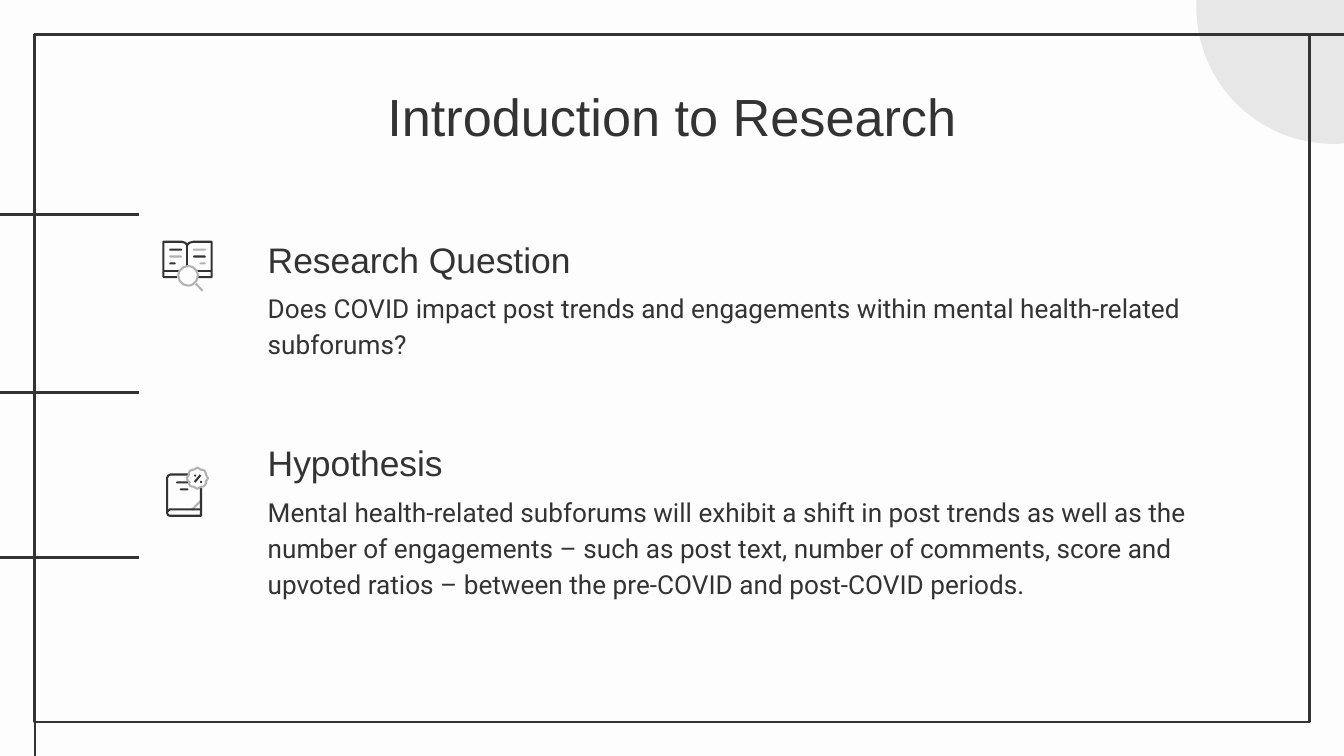
from math import cos, pi, sin

from lxml.etree import SubElement
from pptx import Presentation
from pptx.dml.color import RGBColor
from pptx.enum.shapes import MSO_CONNECTOR as Connector, MSO_SHAPE as Shape
from pptx.enum.text import MSO_ANCHOR as Anchor, PP_ALIGN as Align
from pptx.oxml.ns import qn
from pptx.util import Cm, Pt

INK, GREY, PALE, PAPER = "333333", "B2B2B2", "E8E7E7", "FDFDFD"
WIDTH, HEIGHT = 25.4, 14.29
FRAME_LINE, ICON_LINE = 1.5, 1.1
INSET = 0.25


def color(value):
    return RGBColor.from_string(value)


def apply(target, formats):
    for name, value in formats.items():
        setattr(target, name, value)


def paint(shape, fill=None, line=None, weight=ICON_LINE):
    shape.shadow.inherit = False
    if fill:
        shape.fill.solid()
        shape.fill.fore_color.rgb = color(fill)
    else:
        shape.fill.background()
    if line:
        shape.line.color.rgb = color(line)
        shape.line.width = Pt(weight)
    else:
        shape.line.fill.background()


def add_preset(shapes, kind, left, top, width, height, **look):
    shape = shapes.add_shape(kind, Cm(left), Cm(top), Cm(width), Cm(height))
    paint(shape, **look)
    return shape


def add_line(shapes, start, end, line=INK, weight=ICON_LINE):
    rule = shapes.add_connector(Connector.STRAIGHT, *map(Cm, start + end))
    rule.line.color.rgb = color(line)
    rule.line.width = Pt(weight)
    SubElement(rule._element.spPr, qn("a:effectLst"))


def add_outline(shapes, strokes, line=INK, closed=False):
    """Draw strokes whose points are in hundredths of a centimetre."""
    first, *others = strokes
    builder = shapes.build_freeform(*first[0], scale=Cm(0.01))
    builder.add_line_segments(first[1:], close=closed)
    for stroke in others:
        builder.move_to(*stroke[0])
        builder.add_line_segments(stroke[1:], close=closed)
    paint(builder.convert_to_shape(), line=line)


def add_dash(shapes, left, top, width, fill):
    dash = add_preset(shapes, Shape.ROUNDED_RECTANGLE, left, top, width, 0.04, fill=fill)
    dash.adjustments[0] = 0.5


def add_text(page, text, place, size, font, frame=None, para_formats=None):
    box = page.shapes.add_textbox(*map(Cm, place))
    apply(box.text_frame, {
        "word_wrap": True, "vertical_anchor": Anchor.TOP,
        "margin_left": Cm(INSET), "margin_right": Cm(INSET),
        "margin_top": Cm(INSET), "margin_bottom": Cm(INSET), **(frame or {})})
    para = box.text_frame.paragraphs[0]
    apply(para, para_formats or {"line_spacing": 1.15})
    span = para.add_run()
    span.text = text
    apply(span.font, {"size": Pt(size), "name": font})
    span.font.color.rgb = color(INK)


def add_frame(page):
    shapes = page.shapes
    add_preset(shapes, Shape.OVAL, 22.61, -2.46, 5.18, 5.18, fill=PALE)
    for y in (4.06, 7.42, 10.54):
        add_line(shapes, (0, y), (2.62, y), weight=FRAME_LINE)
    add_preset(shapes, Shape.RECTANGLE, 0.65, 0.65, 24.1, 13,
               line=INK, weight=FRAME_LINE)
    # Extensions from the frame corners to the slide edges
    add_line(shapes, (WIDTH, 0.65), (24.75, 0.65), weight=FRAME_LINE)
    add_line(shapes, (0.66, 13.65), (0.66, HEIGHT), weight=FRAME_LINE)


def add_search_icon(page):
    icon = page.shapes.add_group_shape().shapes
    # Open book: cover, page edges and spine
    add_outline(icon, [
        [(335, 524), (309, 524), (309, 457), (343, 457), (350, 459), (354, 463),
         (358, 459), (366, 457), (400, 457), (400, 524), (373, 524)],
        [(309, 513), (338, 513)],
        [(371, 513), (400, 513)],
        [(354, 463), (354, 503)],
    ])
    # Lines of writing
    for row, (left_fill, right_fill) in enumerate([(INK, GREY), (GREY, INK), (INK, GREY)]):
        top = 4.7 + 0.13 * row
        width = 0.12 if row == 2 else 0.24
        add_dash(icon, 3.2, top, width, left_fill)
        add_dash(icon, 3.89 - width, top, width, right_fill)
    # Magnifier
    add_preset(icon, Shape.OVAL, 3.37, 5.03, 0.37, 0.37, line=GREY)
    add_line(icon, (3.7, 5.36), (3.83, 5.5), GREY)


def add_percent_icon(page):
    icon = page.shapes.add_group_shape().shapes
    # Closed book with a folded corner
    add_line(icon, (3.62, 9.64), (3.8, 9.46), GREY)
    add_outline(icon, [
        [(358, 897), (322, 897), (318, 899), (316, 903), (316, 970), (318, 974),
         (321, 975), (380, 975), (380, 922)],
        [(316, 967), (321, 963), (380, 963)],
    ])
    add_dash(icon, 3.33, 9.1, 0.27, INK)
    add_dash(icon, 3.4, 9.23, 0.16, INK)
    # Badge with eight lobes
    badge = []
    for step in range(64):
        angle = 2 * pi * step / 64
        radius = 18.7 + 1.2 * cos(8 * angle)
        badge.append((373 + radius * cos(angle), 904 + radius * sin(angle)))
    add_outline(icon, [badge], GREY, closed=True)
    # Percent sign
    add_line(icon, (3.68, 9.11), (3.79, 8.98))
    for left, top in ((3.67, 8.97), (3.78, 9.09)):
        add_preset(icon, Shape.OVAL, left, top, 0.04, 0.04, fill=INK)


def add_section(page, heading, heading_top, body, body_top):
    left, width, height = 4.81, 18.36, 1.47
    add_text(page, body, (left, body_top, width, height), 14, "Roboto")
    add_text(page, heading, (left, heading_top, width, height), 19, "Arial",
             frame={"vertical_anchor": Anchor.BOTTOM})


def main():
    deck = Presentation()
    apply(deck, {"slide_width": Cm(WIDTH), "slide_height": Cm(HEIGHT)})
    page = deck.slides.add_slide(deck.slide_layouts[6])
    page.background.fill.solid()
    page.background.fill.fore_color.rgb = color(PAPER)

    add_frame(page)
    add_text(page, "Introduction to Research", (1.99, 1.34, 21.41, 1.6), 28, "Arial",
             para_formats={"alignment": Align.CENTER})
    add_section(page, "Research Question", 4.09,
                "Does COVID impact post trends and engagements within mental "
                "health-related subforums?", 5.18)
    add_section(page, "Hypothesis", 7.92,
                "Mental health-related subforums will exhibit a shift in post trends "
                "as well as the number of engagements – such as post text, number of "
                "comments, score and upvoted ratios – between the pre-COVID and "
                "post-COVID periods.", 9.05)
    add_search_icon(page)
    add_percent_icon(page)
    deck.save("out.pptx")


if __name__ == "__main__":
    main()
